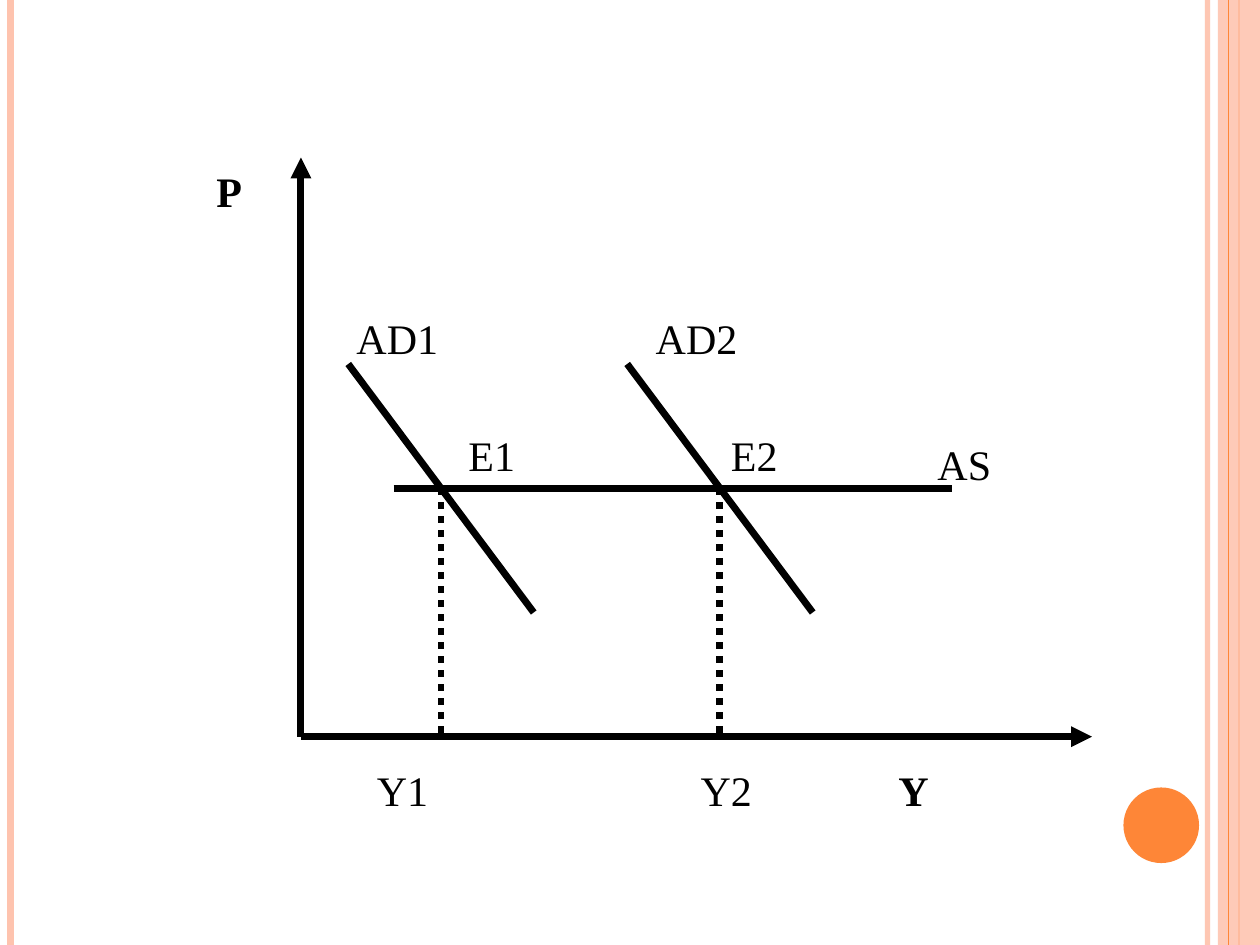
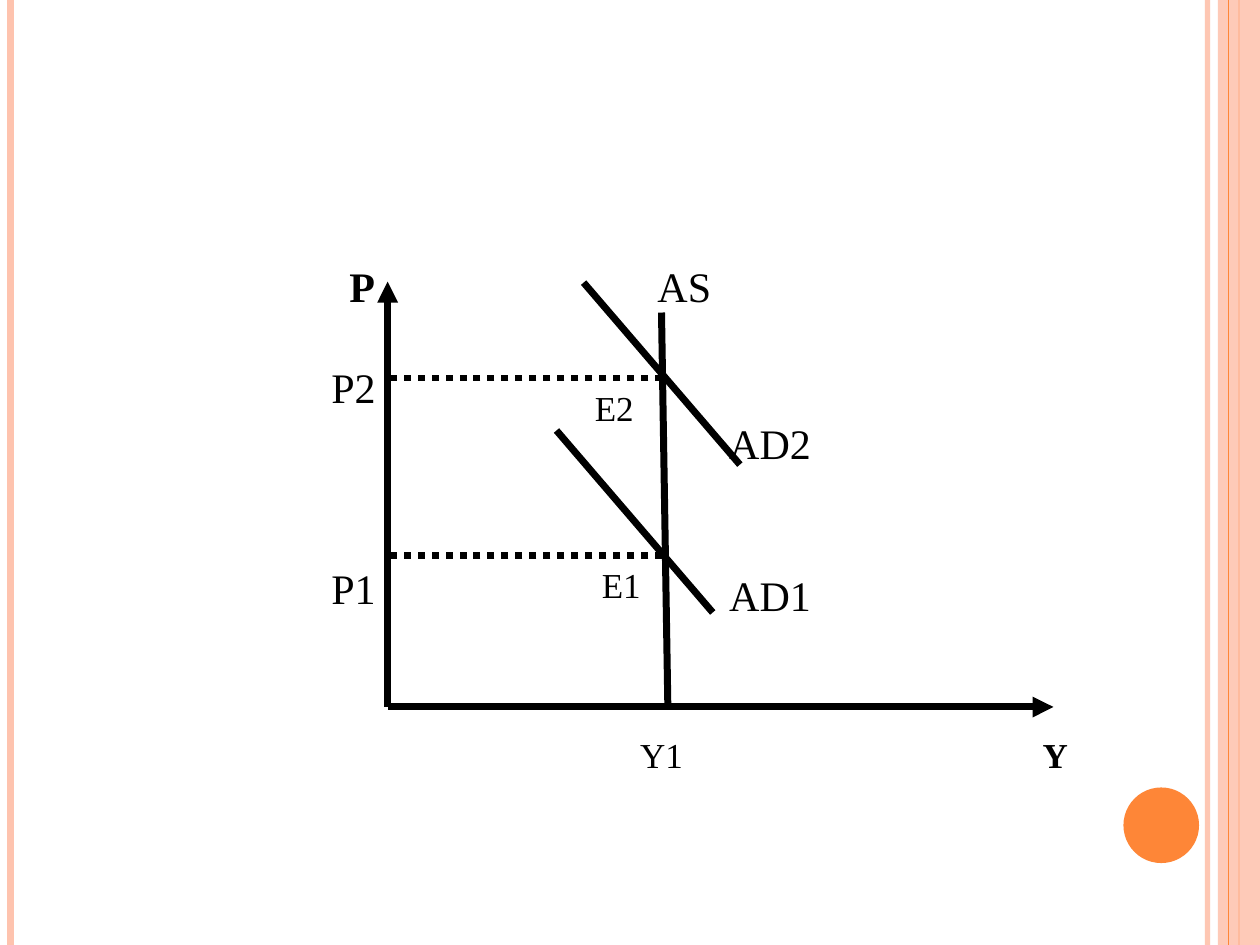
"""Build two aggregate demand and supply diagrams as slides."""
import lxml.etree
import pptx
import pptx.dml.color
import pptx.enum.dml
import pptx.enum.shapes
import pptx.enum.text
import pptx.oxml.ns
import pptx.util

Pt = pptx.util.Pt
RGBColor = pptx.dml.color.RGBColor
SHAPE = pptx.enum.shapes.MSO_SHAPE

BLACK = RGBColor(0x00, 0x00, 0x00)
PEACH = RGBColor(0xFE, 0xC3, 0xAE)
ORANGE = RGBColor(0xFE, 0x86, 0x37)
FONT = "Times New Roman"
WIDTH, HEIGHT = 720, 540


def add_xml(parent, tag, **attributes):
    return lxml.etree.SubElement(parent, pptx.oxml.ns.qn(tag), **attributes)


def set_opacity(sp, percent):
    for color in sp._element.spPr.xpath(".//a:srgbClr"):
        add_xml(color, "a:alpha", val=str(percent * 1000))


class Deck:
    """Holds the presentation, its style and the current slide."""

    def __init__(self):
        self.prs = pptx.Presentation()
        self.prs.slide_width = Pt(WIDTH)
        self.prs.slide_height = Pt(HEIGHT)
        self.s = None

    def new_slide(self):
        self.s = self.prs.slides.add_slide(self.prs.slide_layouts[6])
        set_opacity(self.band(690, 3, PEACH), 93)
        self.band(6, 4.5, PEACH)
        self.band(708, 1.5, ORANGE)
        set_opacity(self.shape(SHAPE.RECTANGLE, 696, 0, 24, HEIGHT, PEACH), 87)
        self.band(702, 0.75, ORANGE)
        self.shape(SHAPE.OVAL, 642, 450, 43.2, 43.2, ORANGE)

    def band(self, x, width, color):
        return self.line((x, 0), (x, HEIGHT), color, width)

    def shape(self, kind, left, top, width, height, color):
        sp = self.s.shapes.add_shape(kind, Pt(left), Pt(top), Pt(width), Pt(height))
        sp.shadow.inherit = False
        sp.fill.solid()
        sp.fill.fore_color.rgb = color
        sp.line.fill.background()
        return sp

    def line(self, start, end, color=BLACK, width=4, dotted=False, arrow=False):
        sp = self.s.shapes.add_connector(
            pptx.enum.shapes.MSO_CONNECTOR.STRAIGHT, *map(Pt, start + end))
        sp.line.color.rgb = color
        sp.line.width = Pt(width)
        if dotted:
            sp.line.dash_style = pptx.enum.dml.MSO_LINE.ROUND_DOT
        if arrow:
            add_xml(sp.line._get_or_add_ln(), "a:tailEnd", type="triangle")
        add_xml(sp._element.spPr, "a:effectLst")
        return sp

    def axes(self, origin, right, top):
        x, y = origin
        self.line(origin, (right, y), arrow=True)
        self.line(origin, (x, top), arrow=True)

    def label(self, text, x, y, size=24, bold=False):
        """Write a label centred on the point x, y."""
        width, height = 60, 30
        sp = self.s.shapes.add_textbox(
            Pt(x - width / 2), Pt(y - height / 2), Pt(width), Pt(height))
        tf = sp.text_frame
        tf.word_wrap = True
        tf.margin_left = tf.margin_right = tf.margin_top = tf.margin_bottom = 0
        tf.vertical_anchor = pptx.enum.text.MSO_ANCHOR.MIDDLE
        tf.text = text
        p = tf.paragraphs[0]
        p.alignment = pptx.enum.text.PP_ALIGN.CENTER
        r = p.runs[0]
        r.font.name = FONT
        r.font.size = Pt(size)
        r.font.bold = bold
        r.font.color.rgb = BLACK


def horizontal_supply(deck):
    deck.new_slide()
    deck.label("P", 131, 109, bold=True)
    deck.label("Y", 522, 451, bold=True)
    deck.label("AS", 551, 265)
    for text, x, y in (("AD1", 227, 193), ("AD2", 398, 193),
                       ("E1", 281, 260), ("E2", 431, 260),
                       ("Y1", 230, 451), ("Y2", 415, 451)):
        deck.label(text, x, y)

    base, supply = 421, 279
    deck.axes((172, base), 624, 90)
    deck.line((225, supply), (544, supply))
    for output in (252, 411.4):
        deck.line((output - 53, 208), (output + 53, 350))
        deck.line((output, supply), (output, base), dotted=True)


def vertical_supply(deck):
    deck.new_slide()
    deck.label("P", 207, 163, bold=True)
    deck.label("Y", 603, 431, 20, bold=True)
    deck.label("AS", 391, 163)
    for text, x, y in (("P2", 202, 221), ("P1", 202, 336),
                       ("AD2", 440, 253), ("AD1", 440, 340)):
        deck.label(text, x, y)
    for text, x, y in (("E2", 351, 233), ("E1", 355, 334), ("Y1", 378, 431)):
        deck.label(text, x, y, 20)

    left = 221.5
    deck.axes((left, 404), 602, 161)
    deck.line((381.6, 402), (378, 178.6))
    for demand_left, demand_top, price in ((333.5, 161.5, 216), (318, 246, 317.5)):
        deck.line((demand_left, demand_top), (demand_left + 89.3, demand_top + 104))
        deck.line((378.5, price), (left, price), dotted=True)


def main():
    deck = Deck()
    horizontal_supply(deck)
    vertical_supply(deck)
    deck.prs.save("out.pptx")


if __name__ == "__main__":
    main()
